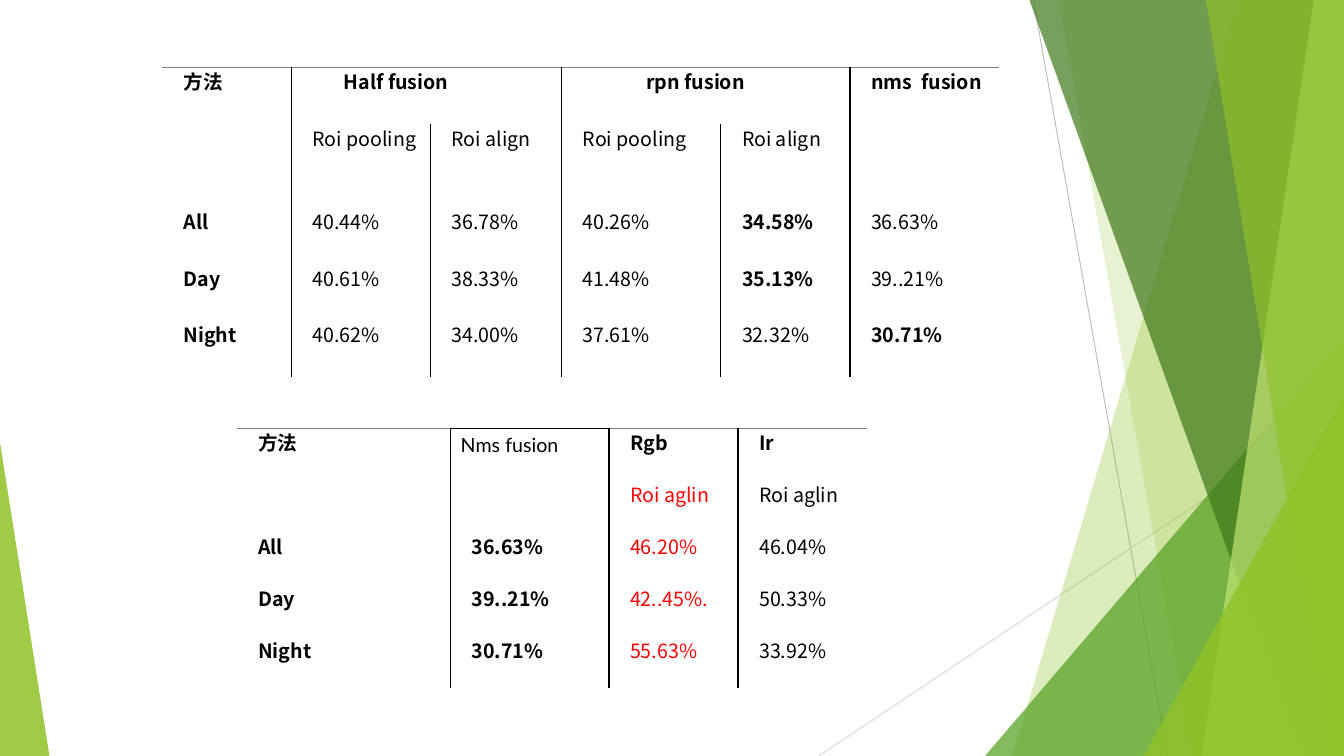
from lxml.etree import SubElement
from pptx import Presentation
from pptx.dml.color import RGBColor
from pptx.enum.shapes import MSO_CONNECTOR, MSO_SHAPE
from pptx.enum.text import PP_ALIGN
from pptx.oxml.ns import qn
from pptx.util import Inches, Pt

BLACK = RGBColor(0x00, 0x00, 0x00)
RED = RGBColor(0xFF, 0x00, 0x00)
RULE_GRAY = RGBColor(0x7F, 0x7F, 0x7F)
GRAY = RGBColor(0xBF, 0xBF, 0xBF)
LIGHT_GRAY = RGBColor(0xD9, 0xD9, 0xD9)
LIME = RGBColor(0x90, 0xC2, 0x26)
GREEN = RGBColor(0x54, 0xA0, 0x21)
DARK_GREEN = RGBColor(0x3F, 0x78, 0x19)
PALE_LIME = RGBColor(0xC0, 0xE4, 0x74)
FONT = "Noto Sans CJK SC"
NO_STYLE = "{2D5ABB26-0587-4C30-8999-92F81FD0307C}"
W, H = 13.33, 7.5


def paint(s, color, opacity):
    """Flat fill with an opacity in percent, no outline."""
    s.shadow.inherit = False
    s.fill.solid()
    s.fill.fore_color.rgb = color
    s.line.fill.background()
    clr = s._element.spPr.find(qn("a:solidFill"))[0]
    SubElement(clr, qn("a:alpha"), val=str(opacity * 1000))


def border(cell, side, color):
    """One cell edge, 1 pt wide, or none."""
    ln = SubElement(cell._tc.get_or_add_tcPr(), qn("a:ln" + side), w=str(Pt(1)))
    if color is None:
        SubElement(ln, qn("a:noFill"))
    else:
        fill = SubElement(ln, qn("a:solidFill"))
        SubElement(fill, qn("a:srgbClr"), val=str(color))


prs = Presentation()
prs.slide_width, prs.slide_height = Inches(W), Inches(H)
slide = prs.slides.add_slide(prs.slide_layouts[6])

# Thin diagonal lines
for x1, y1, x2, y2, color in [(10.25, 0, 11.58, H, GRAY),
                              (W, 4.03, 8.12, H, LIGHT_GRAY)]:
    line = slide.shapes.add_connector(
        MSO_CONNECTOR.STRAIGHT, Inches(x1), Inches(y1), Inches(x2), Inches(y2))
    line.line.color.rgb = color
    line.line.width = Pt(0.75)
    SubElement(line._element.spPr, qn("a:effectLst"))

# Green facets: bands (top x, bottom x) run to the right edge of the slide,
# triangles (left, top, width, apex) stand on its bottom edge
facets = [
    ((12.28, 10.04), LIME, 30),
    ((10.5, 11.83), LIME, 20),
    ((9.77, 3.33, 3.56, 1), GREEN, 72),
    ((10.21, 12.91), DARK_GREEN, 70),
    ((13.03, 11.92), PALE_LIME, 70),
    ((11.96, 13.18), LIME, 65),
    ((11.34, 3.93, 1.99, 1), LIME, 80),
    ((0, 4.39, 0.49, 0), LIME, 85),
]
for place, color, opacity in facets:
    if len(place) == 2:
        top_x, bottom_x = place
        builder = slide.shapes.build_freeform(Inches(top_x), 0)
        builder.add_line_segments(
            [(Inches(x), Inches(y)) for x, y in [(W, 0), (W, H), (bottom_x, H)]])
        s = builder.convert_to_shape()
    else:
        left, top, width, apex = place
        s = slide.shapes.add_shape(
            MSO_SHAPE.ISOSCELES_TRIANGLE,
            Inches(left), Inches(top), Inches(width), Inches(H - top))
        s.adjustments[0] = apex
    paint(s, color, opacity)

# The two result tables; bold, red and plain hold (row, column) positions,
# indents hold first-line indents that differ from the usual one
tables = [
    dict(at=(1.61, 0.67), cols=[1.28, 1.38, 1.3, 1.58, 1.28, 1.48],
         rows=[0.56, 0.83, 0.56, 0.56, 0.56],
         text=[["方法", "Half fusion", "", "rpn fusion", "", "nms  fusion"],
               ["", "Roi pooling", "Roi align", "Roi pooling", "Roi align", ""],
               ["All", "40.44%", "36.78%", "40.26%", "34.58%", "36.63%"],
               ["Day", "40.61%", "38.33%", "41.48%", "35.13%", "39..21%"],
               ["Night", "40.62%", "34.00%", "37.61%", "32.32%", "30.71%"]],
         merges=[1, 3], bold=[(2, 4), (3, 4), (4, 5)], red=[], plain=[],
         indents={(0, 1): 0.45, (0, 3): 0.77}),
    dict(at=(2.35, 4.25), cols=[2.12, 1.57, 1.28, 1.28], rows=[0.515] * 5,
         text=[["方法", "Nms fusion", "Rgb", "Ir"],
               ["", "", "Roi aglin", "Roi aglin"],
               ["All", "36.63%", "46.20%", "46.04%"],
               ["Day", "39..21%", "42..45%.", "50.33%"],
               ["Night", "30.71%", "55.63%", "33.92%"]],
         merges=[], bold=[(2, 1), (3, 1), (4, 1)],
         red=[(r, 2) for r in range(1, 5)], plain=[(0, 1)], indents={}),
]
for t in tables:
    n_rows, n_cols = len(t["rows"]), len(t["cols"])
    frame = slide.shapes.add_table(
        n_rows, n_cols, Inches(t["at"][0]), Inches(t["at"][1]),
        Inches(sum(t["cols"])), Inches(sum(t["rows"])))
    table = frame.table
    table.first_row = table.horz_banding = False
    table._tbl.tblPr.find(qn("a:tableStyleId")).text = NO_STYLE
    for column, width in zip(table.columns, t["cols"]):
        column.width = Inches(width)
    for row, height in zip(table.rows, t["rows"]):
        row.height = Inches(height)
    for c in t["merges"]:
        table.cell(0, c).merge(table.cell(0, c + 1))

    for r in range(n_rows):
        for c in range(n_cols):
            cell, pos = table.cell(r, c), (r, c)
            plain = pos in t["plain"]

            # Rules between columns and above the header
            top = BLACK if plain else RULE_GRAY
            border(cell, "L", BLACK if c > 0 and not cell.is_spanned else None)
            border(cell, "R", BLACK if c < n_cols - 1 else None)
            border(cell, "T", top if r == 0 else None)
            border(cell, "B", None)
            cell.fill.background()

            if not plain:
                cell.margin_left = cell.margin_right = Inches(0.07)
                cell.margin_top = cell.margin_bottom = 0
            if not t["text"][r][c]:
                continue
            p = cell.text_frame.paragraphs[0]
            p.text = t["text"][r][c]
            if not plain:
                p.alignment = PP_ALIGN.JUSTIFY
                p.line_spacing = Pt(20)
                indent = t["indents"].get(pos, 0.14)
                p._p.get_or_add_pPr().set("indent", str(Inches(indent)))
            font = p.runs[0].font
            font.size = Pt(14)
            font.name = "Lato" if plain else FONT
            font.bold = not plain and (r == 0 or c == 0 or pos in t["bold"])
            font.color.rgb = RED if pos in t["red"] else BLACK
            SubElement(p.runs[0]._r.get_or_add_rPr(), qn("a:ea"), typeface=FONT)

prs.save("out.pptx")
